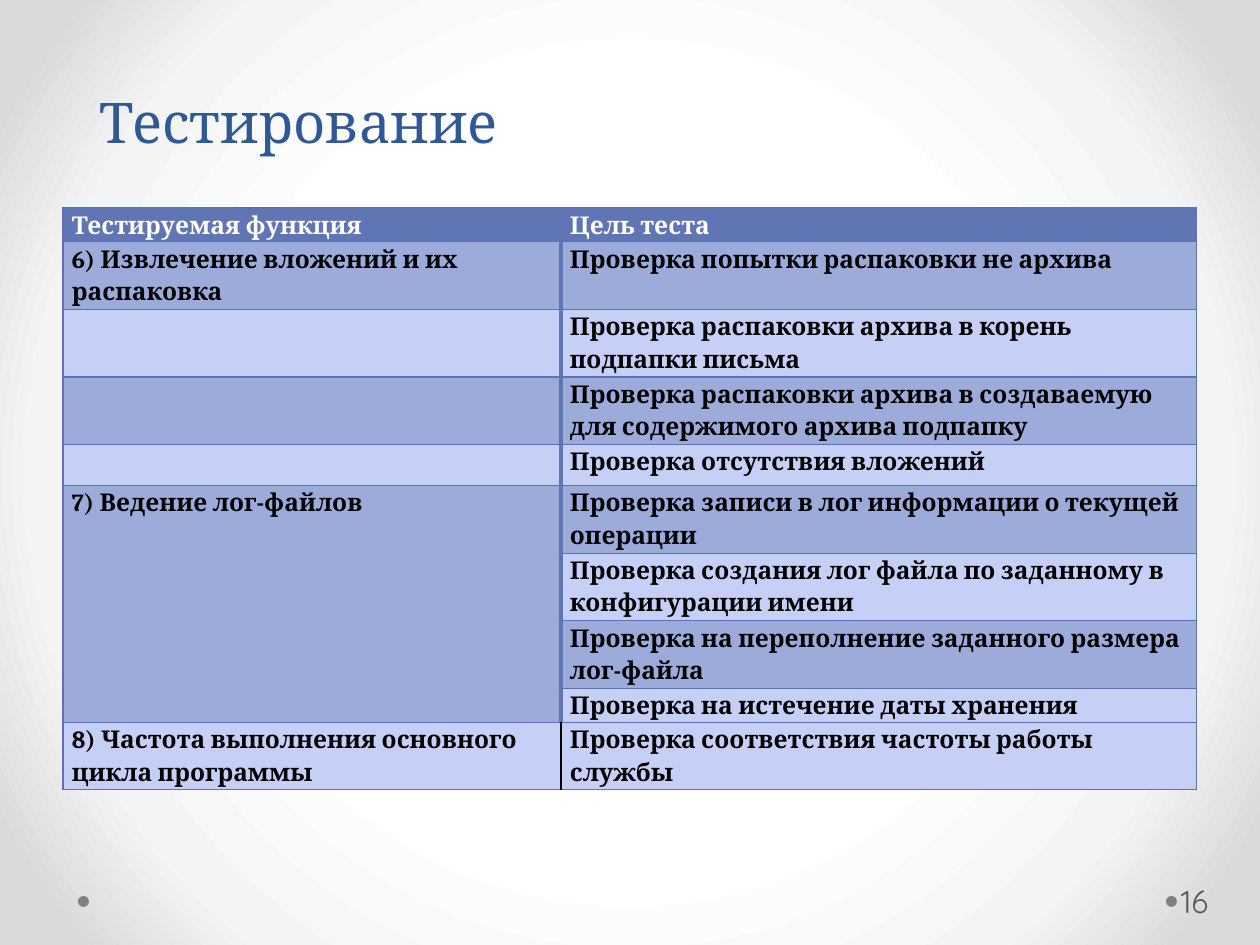
from pptx import Presentation
from pptx.dml.color import RGBColor
from pptx.enum.shapes import MSO_SHAPE as SHAPE
from pptx.enum.text import MSO_ANCHOR as ANCHOR, PP_ALIGN as ALIGN
from pptx.oxml import parse_xml
from pptx.oxml.ns import nsdecls
from pptx.util import Pt

PX = 914400 // 126
HEADER, DARK, LIGHT, EDGE = "6076B4", "9DABDB", "C6CFF5", "5C72B2"
ROWS = [
    ("Тестируемая функция", "Цель теста", 32),
    ("6) Извлечение вложений и их распаковка", "Проверка попытки распаковки не архива", 65),
    ("", "Проверка распаковки архива в корень подпапки письма", 65),
    ("", "Проверка распаковки архива в создаваемую для содержимого архива подпапку", 64),
    ("", "Проверка отсутствия вложений", 41),
    ("7) Ведение лог-файлов", "Проверка записи в лог информации о текущей операции", 65),
    ("", "Проверка создания лог файла по заданному в конфигурации имени", 64),
    ("", "Проверка на переполнение заданного размера лог-файла", 65),
    ("", "Проверка на истечение даты хранения", 33),
    ("8) Частота выполнения основного цикла программы",
     "Проверка соответствия частоты работы службы", 65),
]


def px(*lengths):
    """Turn pixel lengths into EMU."""
    return [n * PX for n in lengths]


def rgb(value):
    """Return the colour for a hex string."""
    return RGBColor.from_string(value)


def style(p, size, font, color, bold=False):
    """Format every run of a paragraph."""
    for r in p.runs:
        r.font.size, r.font.name, r.font.bold = Pt(size), font, bold
        r.font.color.rgb = rgb(color)


def set_background(slide, stops):
    """Fill the background with a circular gradient."""
    slide.background.fill.solid()
    bg = slide.background.fill._xPr
    gs = "".join(f'<a:gs pos="{pos}000"><a:srgbClr val="{color}"/></a:gs>'
                 for pos, color in stops)
    grad = parse_xml(
        f'<a:gradFill {nsdecls("a")} rotWithShape="1"><a:gsLst>{gs}</a:gsLst>'
        '<a:path path="circle"><a:fillToRect l="50000" t="50000" r="50000" b="50000"/>'
        '</a:path></a:gradFill>')
    bg.replace(bg[0], grad)


def add_dot(slide, left, top):
    """Add a small grey footer dot."""
    sp = slide.shapes.add_shape(SHAPE.OVAL, *px(left, top, 11, 11))
    sp.shadow.inherit = False
    sp.fill.solid()
    sp.fill.fore_color.rgb = rgb("808080")
    sp.line.fill.background()


def set_title(slide, text):
    """Place and format the title."""
    sp = slide.shapes.title
    sp.left, sp.top, sp.width, sp.height = px(87, 16, 940, 145)
    tf = sp.text_frame
    tf.text = text
    tf.vertical_anchor = ANCHOR.BOTTOM
    tf.paragraphs[0].alignment = ALIGN.LEFT
    style(tf.paragraphs[0], 32, "Cambria", "2F5897")


def add_number(slide, text):
    """Add the slide number."""
    tf = slide.shapes.add_textbox(*px(1177, 876, 77, 50)).text_frame
    tf.word_wrap = True
    tf.margin_left = 4 * PX
    tf.vertical_anchor = ANCHOR.MIDDLE
    tf.text = text
    style(tf.paragraphs[0], 18, "Quicksand", "595959")


def set_border(cell, side, color, width):
    """Draw one side of a cell."""
    cell._tc.get_or_add_tcPr().append(parse_xml(
        f'<a:ln{side} {nsdecls("a")} w="{Pt(width)}"><a:solidFill>'
        f'<a:srgbClr val="{color}"/></a:solidFill></a:ln{side}>'))


def format_cell(cell, text, fill, color, borders):
    """Write a cell with its borders, fill and text."""
    for side, (line, width) in borders.items():
        set_border(cell, side, line, width)
    cell.fill.solid()
    cell.fill.fore_color.rgb = rgb(fill)
    cell.margin_left = cell.margin_right = 9 * PX
    cell.margin_top = cell.margin_bottom = 0
    cell.text = text
    p = cell.text_frame.paragraphs[0]
    p.line_spacing = 1.15
    style(p, 14, "Cambria", color, True)


def add_tests(slide):
    """Add the table of tested functions."""
    last = len(ROWS) - 1
    height = sum(row[2] for row in ROWS)
    table = slide.shapes.add_table(
        len(ROWS), 2, *px(63, 208, 1134, height)).table
    for col, width in zip(table.columns, px(498, 636)):
        col.width = width
    thin = (EDGE, 0.75)
    for i, (function, goal, row_height) in enumerate(ROWS):
        table.rows[i].height = row_height * PX
        fill = HEADER if i == 0 else DARK if i % 2 and i < last else LIGHT
        color = "FFFFFF" if i == 0 else "000000"
        middle = ("000000", 1) if i == last else (HEADER, 2.25)
        for j, text in enumerate((function, goal)):
            borders = {"L": middle if j else thin, "R": thin if j else middle,
                       "T": thin, "B": thin}
            format_cell(table.cell(i, j), text, fill, color, borders)
    table.cell(5, 0).merge(table.cell(8, 0))


def main():
    """Build and save the slide."""
    prs = Presentation()
    prs.slide_width, prs.slide_height = px(1260, 945)
    slide = prs.slides.add_slide(prs.slide_layouts[5])
    set_background(slide, [(50, "FFFFFF"), (76, "F4F4F4"), (92, "DADADA")])
    for left in (1166, 78):
        add_dot(slide, left, 896)
    set_title(slide, "Тестирование")
    add_number(slide, "16")
    add_tests(slide)
    prs.save("out.pptx")


if __name__ == "__main__":
    main()
